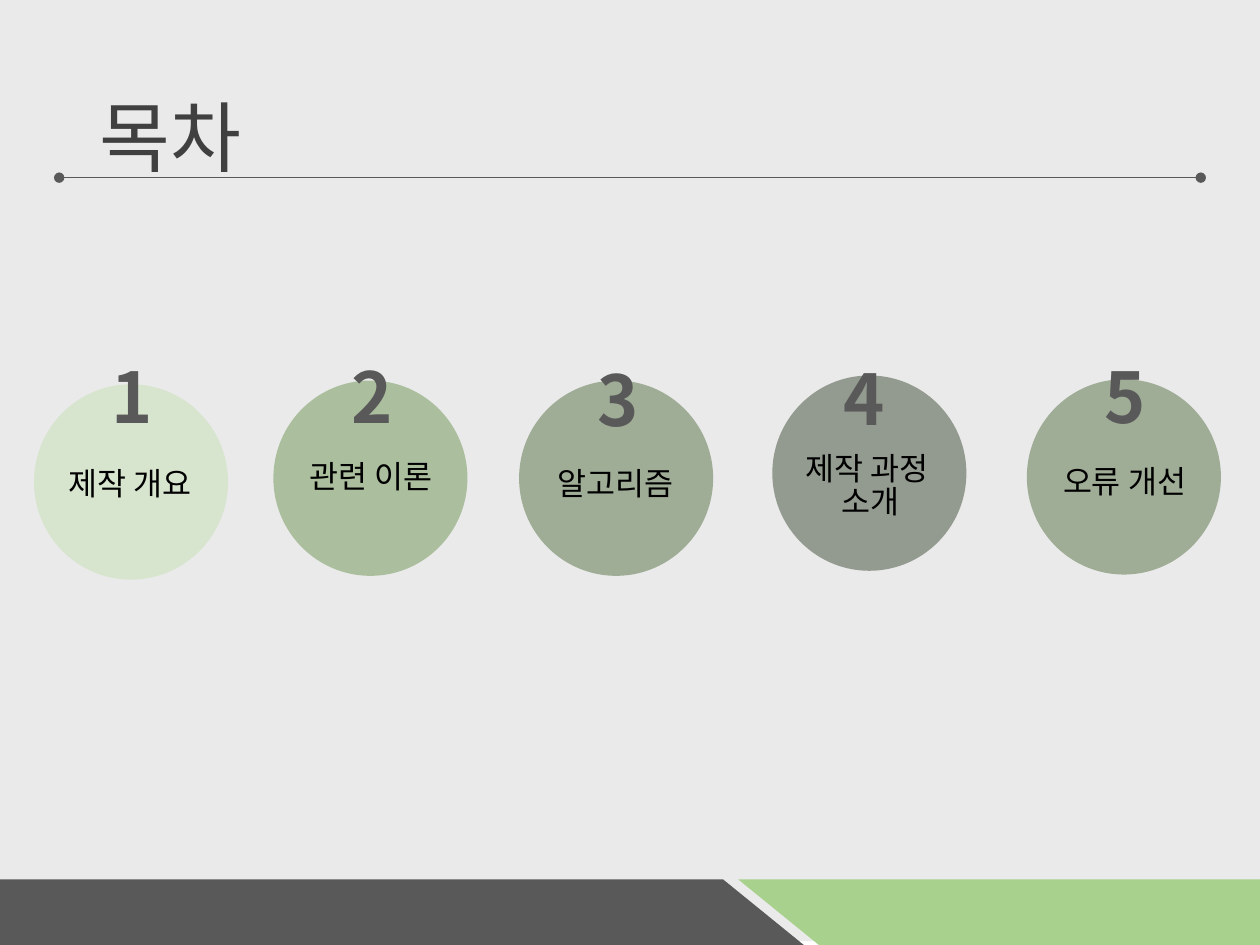
"""Build a contents slide with five numbered circles above a two-tone footer."""
from dataclasses import dataclass

from lxml.etree import SubElement
from pptx import Presentation
from pptx.dml.color import RGBColor
from pptx.enum.shapes import MSO_CONNECTOR, MSO_SHAPE
from pptx.enum.text import MSO_ANCHOR, MSO_AUTO_SIZE, PP_ALIGN
from pptx.oxml.ns import qn
from pptx.util import Inches, Pt

COLS, ROWS = 100, 75
WIDE, HIGH = Inches(10), Inches(7.5)
FONT = "Noto Sans CJK KR"
HUES = {
    "back": "EAEAEA", "dark": "595959", "title": "404040", "text": "000000",
    "leaf": "A9D18E", "pale": "C5E0B4", "moss": "548235", "pine": "385723",
    "night": "1D2C12",
}


@dataclass
class Box:
    col: float
    row: float
    wide: float
    high: float

    def emu(self) -> tuple:
        return (across(self.col), down(self.row),
                across(self.wide), down(self.high))


@dataclass
class Topic:
    lines: list
    hue: str
    left: float
    top: float
    digit: Box
    label: Box
    alpha: int = 42


TOPICS = [
    Topic(["제작 개요"], "pale", 2.7, 30.5,
          Box(7.9, 28.4, 5, 6.2), Box(3.4, 36.7, 13.9, 3.2), 51),
    Topic(["관련 이론"], "moss", 21.7, 30.2,
          Box(26.9, 28.4, 5, 6.2), Box(21.3, 36.2, 16.3, 3.2)),
    Topic(["알고리즘"], "pine", 41.2, 30.2,
          Box(46.4, 28.7, 5, 6.2), Box(40.7, 36.7, 16.3, 3.2)),
    Topic(["제작 과정 ", "소개"], "night", 61.3, 29.8,
          Box(66, 28.6, 6.3, 7.7), Box(58.9, 35.5, 20.4, 7.1)),
    Topic(["오류 개선"], "pine", 81.5, 30.1,
          Box(86.7, 28.4, 5, 7.7), Box(81.1, 36.6, 16.3, 4)),
]
FOOTER = [
    ("dark", [(-0.8, 69.8), (57.4, 69.8), (63.8, 75), (-0.7, 75)]),
    ("leaf", [(58.6, 69.8), (123.1, 69.8), (123.2, 75), (65, 75)]),
]


def across(cols: float) -> int:
    return int(WIDE * cols / COLS)


def down(rows: float) -> int:
    return int(HIGH * rows / ROWS)


def tint(hue: str) -> RGBColor:
    return RGBColor.from_string(HUES[hue])


def write(frame, lines: list, *, size: float, hue: str, bold: bool = False,
          align=PP_ALIGN.LEFT, lead: float = 0.88) -> None:
    frame.word_wrap = True
    for pos, line in enumerate(lines):
        para = frame.add_paragraph() if pos else frame.paragraphs[0]
        para.alignment = align
        para.line_spacing = lead
        run = para.add_run()
        run.text = line
        font = run.font
        font.name, font.size, font.bold = FONT, Pt(size), bold
        font.color.rgb = tint(hue)
        SubElement(font._element, qn("a:ea")).set("typeface", FONT)


def paint(shape, hue: str, alpha: int = 100) -> None:
    shape.shadow.inherit = False
    shape.fill.solid()
    shape.fill.fore_color.rgb = tint(hue)
    shape.line.fill.background()
    if alpha < 100:
        color = shape._element.spPr.find(f".//{qn('a:srgbClr')}")
        SubElement(color, qn("a:alpha")).set("val", str(alpha * 1000))


def label(group, box: Box, lines: list, **style) -> None:
    frame = group.shapes.add_textbox(*box.emu()).text_frame
    write(frame, lines, **style)
    frame.auto_size = MSO_AUTO_SIZE.SHAPE_TO_FIT_TEXT


def badge(slide, num: int, topic: Topic) -> None:
    group = slide.shapes.add_group_shape()
    disc = Box(topic.left, topic.top, 15.4, 15.5)
    paint(group.shapes.add_shape(MSO_SHAPE.OVAL, *disc.emu()),
          topic.hue, topic.alpha)
    label(group, topic.digit, [str(num)], size=40, hue="dark", bold=True)
    label(group, topic.label, topic.lines, size=18, hue="text",
          align=PP_ALIGN.CENTER)


def strip(slide, hue: str, points: list) -> None:
    path = [(across(col), down(row)) for col, row in points]
    pen = slide.shapes.build_freeform(*path[0])
    pen.add_line_segments(path[1:], close=True)
    paint(pen.convert_to_shape(), hue)


def rule(slide) -> None:
    line = slide.shapes.add_connector(
        MSO_CONNECTOR.STRAIGHT, across(4.7), down(14.1),
        across(95.3), down(14.1))
    line.line.color.rgb = tint("dark")
    line.line.width = Pt(0.5)
    for end in ("a:headEnd", "a:tailEnd"):
        SubElement(line.line._get_or_add_ln(), qn(end)).set("type", "oval")
    SubElement(line._element.spPr, qn("a:effectLst"))


def head(slide) -> None:
    title = slide.shapes.title
    box = Box(6.9, 4, 86.2, 14.5)
    title.left, title.top, title.width, title.height = box.emu()
    frame = title.text_frame
    write(frame, ["목차"], size=44, hue="title", lead=0.9)
    frame.vertical_anchor = MSO_ANCHOR.MIDDLE
    frame.auto_size = MSO_AUTO_SIZE.NONE


def main() -> None:
    deck = Presentation()
    deck.slide_width, deck.slide_height = WIDE, HIGH
    slide = deck.slides.add_slide(deck.slide_layouts[5])
    back = slide.shapes.add_shape(
        MSO_SHAPE.RECTANGLE, *Box(0, -0.3, COLS, ROWS).emu())
    paint(back, "back")
    slide.shapes._spTree.insert(2, back._element)
    head(slide)
    for hue, points in FOOTER:
        strip(slide, hue, points)
    rule(slide)
    for num, topic in enumerate(TOPICS, 1):
        badge(slide, num, topic)
    deck.save("out.pptx")


main()
